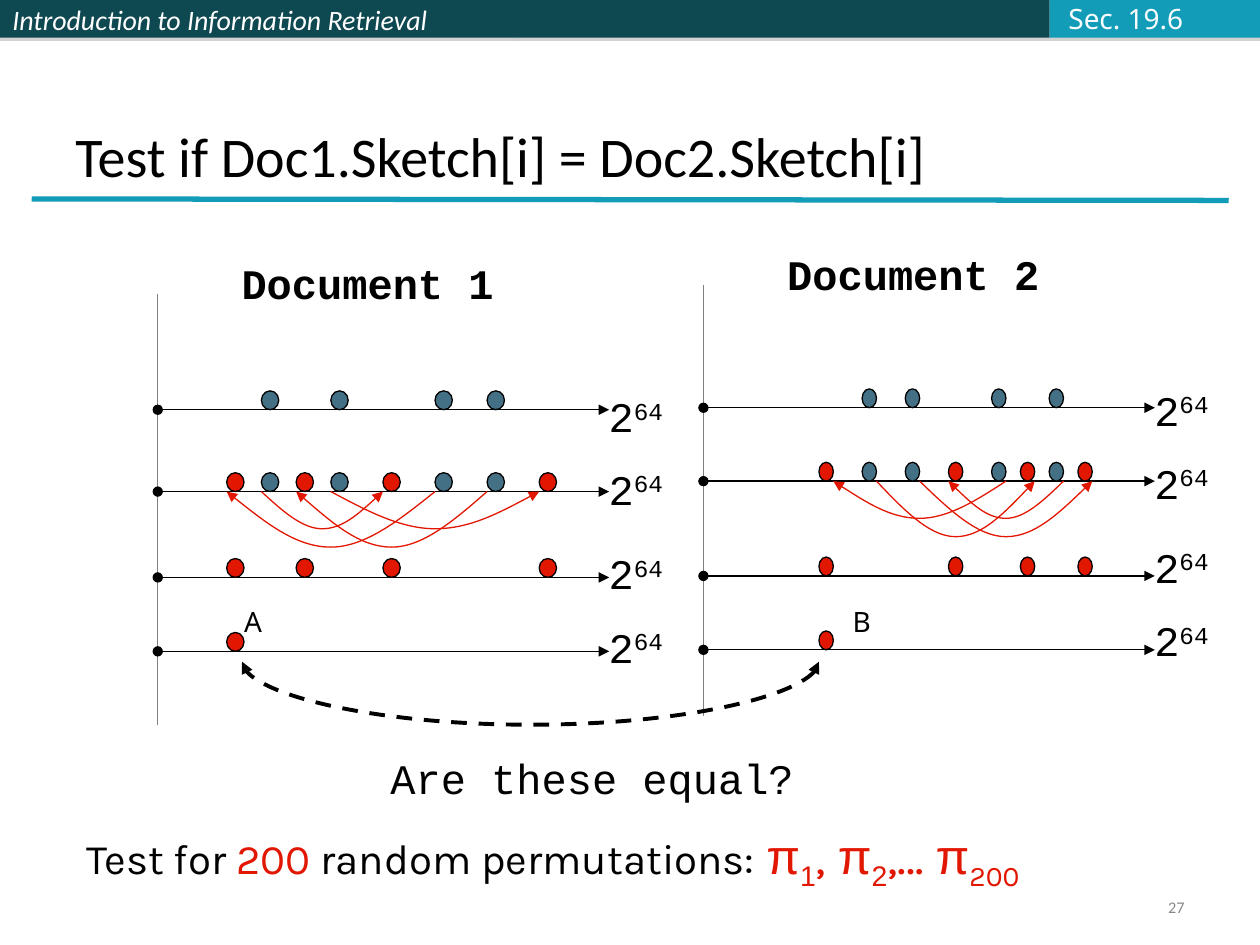
from dataclasses import dataclass
from typing import Optional

import pptx
import pptx.dml.color
import pptx.enum.dml
import pptx.enum.shapes
import pptx.enum.text
import pptx.oxml
import pptx.oxml.ns
import pptx.util

Cm = pptx.util.Cm
Pt = pptx.util.Pt
RGBColor = pptx.dml.color.RGBColor
Shape = pptx.enum.shapes.MSO_SHAPE
Anchor = pptx.enum.text.MSO_ANCHOR
qn = pptx.oxml.ns.qn

BLACK = RGBColor(0x00, 0x00, 0x00)
WHITE = RGBColor(0xFF, 0xFF, 0xFF)
OFF_WHITE = RGBColor(0xFB, 0xFC, 0xFF)
GRAY = RGBColor(0x80, 0x80, 0x80)
PAGE_GRAY = RGBColor(0x89, 0x89, 0x89)
DARK_TEAL = RGBColor(0x0E, 0x48, 0x51)
TEAL = RGBColor(0x13, 0x9C, 0xB7)
BLUE = RGBColor(0x43, 0x70, 0x85)
RED = RGBColor(0xE2, 0x17, 0x02)

NS = 'xmlns:a="http://schemas.openxmlformats.org/drawingml/2006/main"'
SHADOW = (f'<a:effectLst {NS}><a:outerShdw dist="22860" dir="5400000">'
          '<a:srgbClr val="808080"><a:alpha val="35000"/></a:srgbClr>'
          '</a:outerShdw></a:effectLst>')
AXIS_LENGTH = 9.1
DOT_HEIGHT = 0.38
SHALLOW, DEEP = 0.75, 1.12
POWER_OFFSETS = (0, 1.47, 3.17, 4.65)


@dataclass
class Run:
    text: str
    size: float
    font: str
    color: RGBColor = BLACK
    bold: bool = False
    italic: bool = False
    baseline: int = 0


@dataclass
class Document:
    title: str
    axis_x: float
    guide_y: float
    axis_ys: tuple
    power_y: float
    slot_x: float
    step: float
    hashed: tuple
    permuted: tuple
    arcs: tuple


DOCUMENTS = (
    Document("Document 1", 3.18, 5.92, (8.26, 9.91, 11.64, 13.13), 7.75,
             4.57, 0.35, (2, 6, 12, 15), (0, 4, 9, 18),
             ((2, 9, SHALLOW), (12, 0, DEEP), (6, 18, SHALLOW), (15, 4, DEEP))),
    Document("Document 2", 14.18, 5.74, (8.22, 9.7, 11.61, 13.1), 7.62,
             16.51, 0.29, (3, 6, 12, 16), (0, 9, 14, 18),
             ((17, 9, SHALLOW), (7, 19, DEEP), (13, 1, SHALLOW), (4, 15, DEEP))),
)


def add_ends(sp, head: Optional[str], tail: Optional[str]) -> None:
    ln = sp.line._get_or_add_ln()
    for tag, kind in (("headEnd", head), ("tailEnd", tail)):
        if kind:
            ln.append(pptx.oxml.parse_xml(f'<a:{tag} {NS} type="{kind}"/>'))


def add_line(s, x1: float, y1: float, x2: float, y2: float, color: RGBColor,
             width: float = 0.75, head: Optional[str] = None,
             tail: Optional[str] = None) -> None:
    sp = s.shapes.add_connector(pptx.enum.shapes.MSO_CONNECTOR.STRAIGHT,
                                Cm(x1), Cm(y1), Cm(x2), Cm(y2))
    sp.line.color.rgb = color
    sp.line.width = Pt(width)
    add_ends(sp, head, tail)
    sp._element.spPr.append(pptx.oxml.parse_xml(f"<a:effectLst {NS}/>"))


def add_bar(s, x: float, width: float, color: RGBColor):
    sp = s.shapes.add_shape(Shape.RECTANGLE, Cm(x), Cm(0), Cm(width), Cm(0.76))
    sp.fill.solid()
    sp.fill.fore_color.rgb = color
    sp.line.fill.background()
    sp._element.spPr.append(pptx.oxml.parse_xml(SHADOW))
    return sp


def add_dot(s, doc: Document, slot: int, axis_y: float, color: RGBColor) -> None:
    sp = s.shapes.add_shape(Shape.OVAL, Cm(doc.slot_x + slot * doc.step),
                            Cm(axis_y - DOT_HEIGHT), Cm(doc.step), Cm(DOT_HEIGHT))
    sp.shadow.inherit = False
    sp.fill.solid()
    sp.fill.fore_color.rgb = color
    sp.line.color.rgb = BLACK
    sp.line.width = Pt(0.75)


def add_arc(s, x1: float, x2: float, y: float, depth: float, color: RGBColor,
            width: float = 0.75, near: float = 1 / 3, far: float = 2 / 3,
            head: Optional[str] = None):
    fb = s.shapes.build_freeform(Cm(x1), Cm(y))
    fb.add_line_segments([(Cm((x1 + x2) / 2), Cm(y + depth)), (Cm(x2), Cm(y))], close=False)
    sp = fb.convert_to_shape()
    sp.shadow.inherit = False
    sp.fill.background()
    sp.line.color.rgb = color
    sp.line.width = Pt(width)
    add_ends(sp, head, "triangle")
    path = next(sp._element.iter(qn("a:path")))
    (ax, ay), (bx, by), (cx, cy) = [(int(pt.get("x")), int(pt.get("y")))
                                    for pt in path.iter(qn("a:pt"))]
    for ln in path.findall(qn("a:lnTo")):
        path.remove(ln)
    half = (ay + by) / 2
    curves = (
        ((ax + (bx - ax) * near, half), (ax + (bx - ax) * far, by), (bx, by)),
        ((cx + (bx - cx) * far, by), (cx + (bx - cx) * near, half), (cx, cy)),
    )
    for curve in curves:
        pts = "".join(f'<a:pt x="{round(x)}" y="{round(y)}"/>' for x, y in curve)
        path.append(pptx.oxml.parse_xml(f"<a:cubicBezTo {NS}>{pts}</a:cubicBezTo>"))
    return sp


def write(sp, runs: list[Run], anchor=Anchor.TOP, wrap: bool = False):
    tf = sp.text_frame
    tf.word_wrap = wrap
    tf.vertical_anchor = anchor
    p = tf.paragraphs[0]
    p.alignment = pptx.enum.text.PP_ALIGN.LEFT
    for run in runs:
        r = p.add_run()
        r.text = run.text
        r.font.size = Pt(run.size)
        r.font.name = run.font
        r.font.color.rgb = run.color
        r.font.bold = run.bold
        r.font.italic = run.italic
        if run.baseline:
            r.font._element.set("baseline", str(run.baseline * 1000))
    return p


def add_text(s, x: float, y: float, width: float, height: float, runs: list[Run],
             anchor=Anchor.TOP, wrap: bool = False):
    sp = s.shapes.add_textbox(Cm(x), Cm(y), Cm(width), Cm(height))
    return write(sp, runs, anchor, wrap)


def draw_document(s, doc: Document) -> None:
    end_x = doc.axis_x + AXIS_LENGTH
    add_line(s, doc.axis_x, doc.guide_y, doc.axis_x, doc.guide_y + 8.69, GRAY)
    add_text(s, doc.axis_x + 1.44, doc.guide_y - 0.86, 5.59, 1.27,
             [Run(doc.title, 24, "Courier New", bold=True)])
    rows = (
        ((BLUE, doc.hashed),),
        ((BLUE, doc.hashed), (RED, doc.permuted)),
        ((RED, doc.permuted),),
        ((RED, doc.permuted[:1]),),
    )
    for axis_y, row, offset in zip(doc.axis_ys, rows, POWER_OFFSETS):
        add_line(s, doc.axis_x, axis_y, end_x, axis_y, BLACK, head="oval", tail="triangle")
        for color, slots in row:
            for slot in slots:
                add_dot(s, doc, slot, axis_y, color)
        add_text(s, end_x - 0.26, doc.power_y + offset, 1.6, 1.27,
                 [Run("2", 24, "Courier New"), Run("64", 24, "Courier New", baseline=30)])
    for start, stop, depth in doc.arcs:
        add_arc(s, doc.slot_x + start * doc.step, doc.slot_x + stop * doc.step,
                doc.axis_ys[1], depth, RED)


def main() -> None:
    prs = pptx.Presentation()
    prs.slide_width, prs.slide_height = Cm(25.4), Cm(19.05)
    s = prs.slides.add_slide(prs.slide_layouts[6])

    bar = add_bar(s, 0, 10.36, DARK_TEAL)
    write(bar, [Run("Introduction to Information Retrieval", 16, "Calibri", WHITE, italic=True)],
          Anchor.MIDDLE, True)
    add_bar(s, 10.36, 10.8, DARK_TEAL)
    add_bar(s, 21.16, 4.24, TEAL)
    add_text(s, 21.29, -0.1, 2.82, 0.94, [Run("Sec. 19.6", 16, "Noto Sans", OFF_WHITE)],
             Anchor.MIDDLE)
    add_line(s, 0.64, 4.01, 24.77, 4.04, TEAL, 3)
    add_text(s, 1.27, 0.76, 22.86, 3.18,
             [Run("Test if Doc1.Sketch[i] = Doc2.Sketch[i]", 32, "Calibri")], Anchor.BOTTOM, True)

    for doc in DOCUMENTS:
        draw_document(s, doc)

    link = add_arc(s, 16.51, 4.88, 13.34, 1.27, BLACK, 2.25, 0, 0.5, "triangle")
    link.line.dash_style = pptx.enum.dml.MSO_LINE.DASH
    for label, x in (("A", 4.67), ("B", 16.94)):
        add_text(s, x, 12.07, 0.86, 0.94, [Run(label, 16, "Noto Sans")])
    add_text(s, 7.62, 15.04, 8.64, 1.27, [Run("Are these equal?", 24, "Courier New")])

    runs = [Run("Test for", 24, "Karla"), Run(" 200", 24, "Karla", RED),
            Run(" random permutations:", 24, "Karla"), Run(" ", 28, "Karla")]
    for index, font, separator in (("1", "Arial", ", "), ("2", "Arial", ",… "),
                                   ("200", "Karla", "")):
        runs += [Run("π", 28, "Arial", RED), Run(index, 28, font, RED, baseline=-25)]
        if separator:
            runs.append(Run(separator, 28, "Karla", RED))
    add_text(s, 1.5, 16.51, 19.71, 1.6, runs)

    p = add_text(s, 18.21, 17.98, 5.92, 0.69, [Run("27", 9.3, "Calibri", PAGE_GRAY)],
                 Anchor.MIDDLE, True)
    p.alignment = pptx.enum.text.PP_ALIGN.RIGHT
    p.line_spacing = 0.8
    prs.save("out.pptx")


if __name__ == "__main__":
    main()
